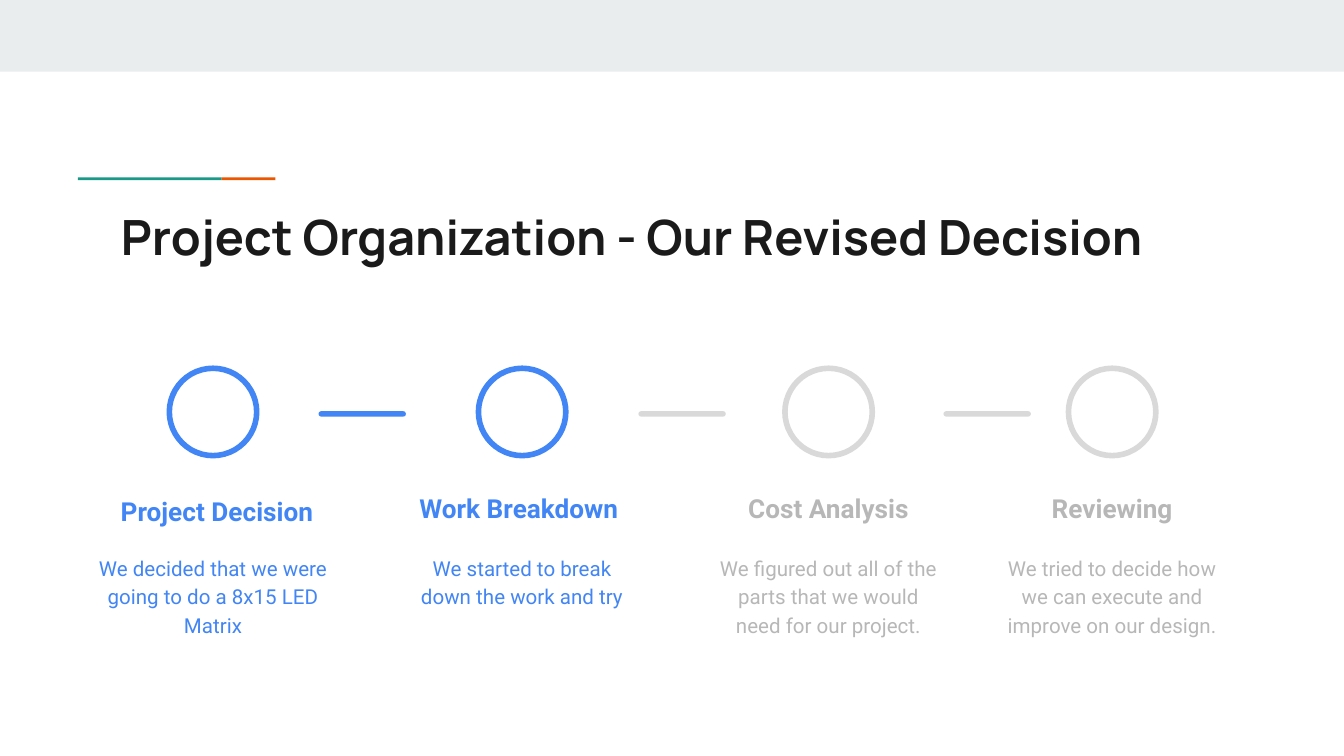
from lxml.etree import SubElement
from pptx import Presentation
from pptx.dml.color import RGBColor
from pptx.enum.shapes import MSO_SHAPE
from pptx.enum.text import MSO_ANCHOR, PP_ALIGN
from pptx.oxml.ns import qn
from pptx.util import Inches, Pt

WIDE = 10
HIGH = WIDE * 9 / 16
RING = 0.65
BLUE, GREY, PALE = "4285F4", "B7B7B7", "D9D9D9"
STEPS = [
    (1.26, 1.92, 0.03, 0.02, BLUE, BLUE, "Project Decision",
     "We decided that we were going to do a 8x15 LED Matrix"),
    (3.56, 1.87, 0, 0, BLUE, BLUE, "Work Breakdown ",
     "We started to break down the work and try"),
    (5.84, 1.87, 0, 0, GREY, PALE, "Cost Analysis",
     "We figured out all of the parts that we would need for our project."),
    (7.95, 1.87, 0, 0, GREY, PALE, "Reviewing",
     "We tried to decide how we can execute and improve on our design."),
]
LINKS = [(2.37, BLUE), (4.75, PALE), (7.02, PALE)]


def color(code):
    return RGBColor.from_string(code)


def place(box):
    return [Inches(side) for side in box]


def draw(slide, kind, box, fill=None, line=None):
    shape = slide.shapes.add_shape(kind, *place(box))
    shape.shadow.inherit = False
    if fill:
        shape.fill.solid()
        shape.fill.fore_color.rgb = color(fill)
    else:
        shape.fill.background()
    if line:
        shape.line.color.rgb = color(line)
        shape.line.width = Pt(3)
    else:
        shape.line.fill.background()
    return shape


def write(shape, text, size, face, tint, bold, anchor):
    frame = shape.text_frame
    frame.word_wrap = True
    frame.vertical_anchor = anchor
    frame.margin_left = frame.margin_right = Inches(0.1)
    frame.margin_top = frame.margin_bottom = Inches(0.1)
    para = frame.paragraphs[0]
    para.text = text
    para.font.size = Pt(size)
    para.font.name = face
    para.font.bold = bold
    para.font.color.rgb = color(tint)
    return para


def label(slide, box, text, size, tint, bold, anchor, after=0):
    shape = slide.shapes.add_textbox(*place(box))
    para = write(shape, text, size, "Roboto", tint, bold, anchor)
    para.alignment = PP_ALIGN.CENTER
    para.line_spacing = 1.15
    para.space_after = Pt(after)


def header(slide, box):
    left, top, wide, high = box
    draw(slide, MSO_SHAPE.RECTANGLE, (left, top, wide, high * 0.25), "E9EDEE")
    start = left + wide * 0.058
    for span, tint in ((1.07, "1A9988"), (0.4, "EB5600")):
        draw(slide, MSO_SHAPE.RECTANGLE, (start, top + 1.32, span, 0.02), tint)
        start += span
    title = slide.shapes.title
    title.left, title.top, title.width, title.height = place(
        (left + wide * 0.08, top + 1.44, wide * 0.841, 0.59))
    para = write(title, "Project Organization - Our Revised Decision",
                 26, "Manrope", "1A1A1A", True, MSO_ANCHOR.TOP)
    para.alignment = PP_ALIGN.LEFT
    body = title.text_frame._txBody.bodyPr
    for child in list(body):
        body.remove(child)
    SubElement(body, qn("a:noAutofit"))


def stage(slide, box, shift, drop, tint, ring, head, text):
    left, top, wide, high = box
    mid = left + wide / 2
    draw(slide, MSO_SHAPE.OVAL, (mid - RING / 2, top, RING, RING), line=ring)
    label(slide, (mid - 0.935 + shift, top + 0.77 + drop, 1.87, 0.49),
          head, 14, tint, True, MSO_ANCHOR.BOTTOM)
    label(slide, (left, top + high - 0.81, wide, 0.81),
          text, 11, tint, False, MSO_ANCHOR.TOP, 16)


def flow(slide, box):
    left, top, wide, high = box
    for start, span, shift, drop, tint, ring, head, text in STEPS:
        edge = left + start + (RING - span) / 2
        stage(slide, (edge, top, span, high),
              shift, drop, tint, ring, head, text)
    for start, tint in LINKS:
        bar = draw(slide, MSO_SHAPE.ROUNDED_RECTANGLE,
                   (left + start, top + 0.32, RING, 0.04), tint)
        bar.adjustments[0] = 0.5


def main():
    deck = Presentation()
    deck.slide_width, deck.slide_height = Inches(WIDE), Inches(HIGH)
    slide = deck.slides.add_slide(deck.slide_layouts[5])
    header(slide, (0, 0, WIDE, 2.13))
    flow(slide, (0, 2.74, WIDE, 2.08))
    deck.save("out.pptx")


if __name__ == "__main__":
    main()
